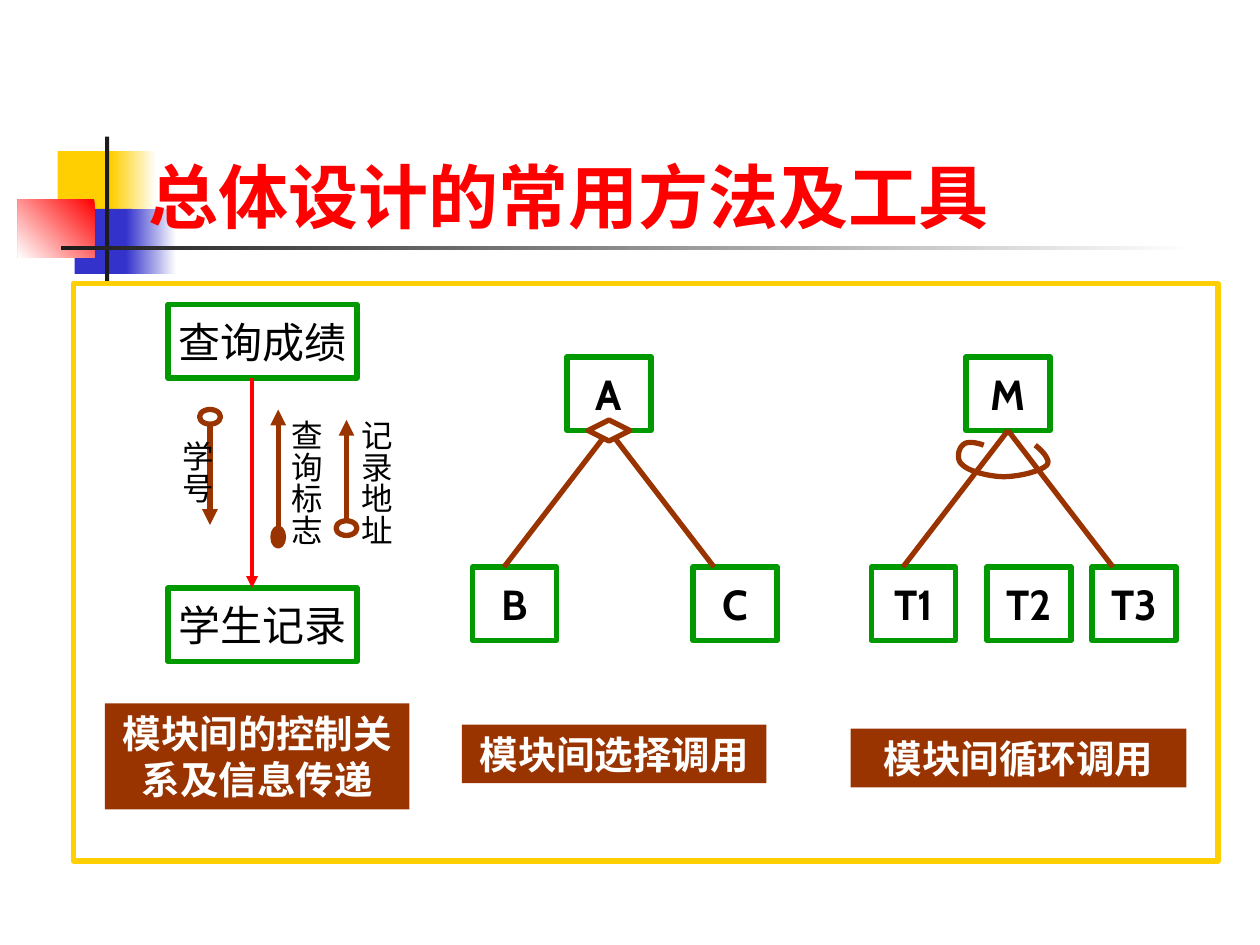
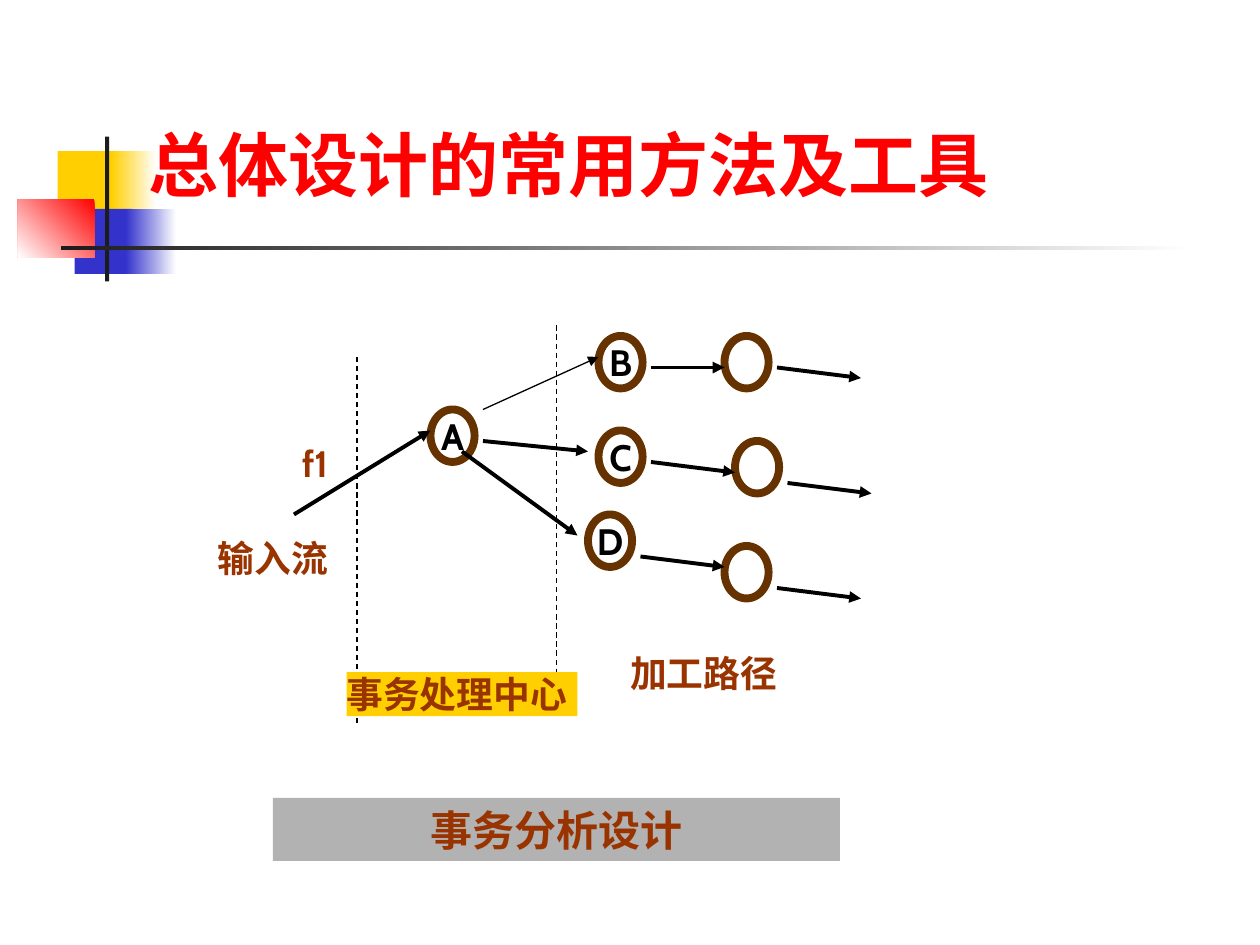
from dataclasses import dataclass
from typing import NamedTuple

from pptx import Presentation
from pptx.dml.color import RGBColor
from pptx.enum.dml import MSO_LINE
from pptx.enum.shapes import MSO_CONNECTOR, MSO_SHAPE
from pptx.enum.text import MSO_ANCHOR, PP_ALIGN
from pptx.oxml.ns import qn
from pptx.oxml.xmlchemy import OxmlElement
from pptx.util import Pt

RECT = MSO_SHAPE.RECTANGLE
OVAL = MSO_SHAPE.OVAL
GEM = MSO_SHAPE.DIAMOND
LINE = MSO_CONNECTOR.STRAIGHT
DASH = MSO_LINE.DASH
LEFT, MID = PP_ALIGN.LEFT, PP_ALIGN.CENTER
TOP, CORE = MSO_ANCHOR.TOP, MSO_ANCHOR.MIDDLE
PX = 7620


@dataclass(frozen=True)
class Theme:
    red: str = "FF0000"
    gold: str = "FFCF01"
    blue: str = "3333CC"
    ink: str = "1C1C1C"
    black: str = "000000"
    white: str = "FFFFFF"
    green: str = "009900"
    rust: str = "993300"
    brown: str = "663300"
    gray: str = "B2B2B2"
    head: str = "Times New Roman"
    body: str = "Cabin"
    title: int = 40
    large: int = 24
    note: int = 22
    mark: int = 21
    small: int = 18
    thin: float = 0.75
    firm: float = 2.25
    thick: float = 3
    ring: float = 4.5


T = Theme()


class Box(NamedTuple):
    x: int
    y: int
    w: int
    h: int


class Type(NamedTuple):
    size: int
    color: str
    bold: bool = True
    align: PP_ALIGN = MID
    font: str = T.body


class Pen(NamedTuple):
    color: str
    width: float
    arrow: bool = False
    dash: bool = False


class Wire(NamedTuple):
    x1: int
    y1: int
    x2: int
    y2: int


class Block(NamedTuple):
    box: Box
    fill: str
    fade: int | None = None


class Label(NamedTuple):
    text: str
    box: Box
    type: Type
    fill: str | None = None
    pad: bool = False


class Flow(NamedTuple):
    text: str
    spot: Box
    wire: Wire
    name: Box
    fill: str | None = None


class Node(NamedTuple):
    text: str
    x: int
    y: int


TITLE = Type(T.title, T.red, True, LEFT, T.head)
PLAIN = Type(T.large, T.black, False)
BOLD = Type(T.large, T.black)
NOTE = Type(T.note, T.white)
SIDE = Type(T.small, T.black, False, LEFT)
RING = Type(T.mark, T.black)
MARK = Type(T.mark, T.rust)
LEAD = MARK._replace(align=LEFT)
GREEN = Pen(T.green, T.thick)
RUST = Pen(T.rust, T.thick)
ARROW = Pen(T.black, T.firm, True)

DECOR = [
    Block(Box(55, 144, 58, 62), T.gold),
    Block(Box(106, 144, 43, 62), T.gold, 0),
    Block(Box(71, 199, 55, 62), T.blue),
    Block(Box(120, 199, 48, 62), T.blue, 0),
    Block(Box(17, 190, 73, 55), T.red, 225),
    Block(Box(100, 130, 4, 138), T.ink),
    Block(Box(58, 234, 1080, 4), T.ink, 0),
]

FLOWS = [
    Flow("学号", Box(190, 390, 20, 14), Wire(200, 404, 200, 500), Box(170, 420, 36, 100)),
    Flow("查询标志", Box(260, 503, 10, 17), Wire(265, 503, 265, 390),
         Box(274, 400, 36, 140), T.rust),
    Flow("记录地址", Box(320, 496, 20, 14), Wire(330, 496, 330, 400), Box(340, 400, 36, 140)),
]
NODES = [
    Node("A", 540, 340), Node("B", 450, 540), Node("C", 660, 540),
    Node("M", 920, 340), Node("T1", 830, 540), Node("T2", 940, 540), Node("T3", 1040, 540),
]
NOTES = [
    Label("模块间的控制关系及信息传递", Box(100, 670, 290, 101), NOTE, T.rust, True),
    Label("模块间选择调用", Box(440, 690, 290, 56), NOTE, T.rust, True),
    Label("模块间循环调用", Box(810, 694, 320, 56), NOTE, T.rust, True),
]
LOOP = [
    (937, 424), (929, 421), (920, 420), (917, 424), (913, 427), (910, 438), (917, 443),
    (923, 449), (943, 454), (956, 454), (970, 454), (991, 449), (997, 443),
    (1002, 438), (990, 427), (986, 424),
]

RINGS = [
    Node("A", 410, 390), Node("B", 570, 320), Node("C", 570, 410), Node("D", 560, 490),
    Node("", 690, 320), Node("", 700, 420), Node("", 690, 520),
]
PATHS = [
    Wire(280, 490, 410, 410), Wire(460, 420, 560, 430), Wire(440, 430, 550, 510),
    Wire(620, 350, 690, 350), Wire(620, 440, 700, 450), Wire(610, 530, 690, 540),
    Wire(740, 350, 820, 360), Wire(750, 460, 830, 470), Wire(740, 560, 820, 570),
]
BOUNDS = [Wire(340, 340, 340, 690), Wire(530, 310, 530, 670)]
LABELS = [
    Label("加工路径", Box(600, 620, 160, 42), LEAD),
    Label("输入流", Box(200, 510, 120, 42), MARK),
    Label("f1", Box(270, 420, 60, 42), MARK),
    Label("事务处理中心", Box(330, 640, 220, 42), LEAD, T.gold),
    Label("事务分析设计", Box(260, 760, 540, 60), Type(T.large, T.rust), T.gray, True),
]


def emu(box: Box) -> list[int]:
    return [side * PX for side in box]


def rgb(color: str) -> RGBColor:
    return RGBColor.from_string(color)


def stroke(shape, pen: Pen) -> None:
    shape.line.color.rgb = rgb(pen.color)
    shape.line.width = Pt(pen.width)
    if pen.dash:
        shape.line.dash_style = DASH
    if pen.arrow:
        tip = OxmlElement("a:tailEnd")
        tip.set("type", "triangle")
        shape.element.spPr.find(qn("a:ln")).append(tip)


def draw(slide, kind, box: Box, fill: str | None = None, pen: Pen | None = None):
    shape = slide.shapes.add_shape(kind, *emu(box))
    shape.shadow.inherit = False
    if fill:
        shape.fill.solid()
        shape.fill.fore_color.rgb = rgb(fill)
    else:
        shape.fill.background()
    if pen:
        stroke(shape, pen)
    else:
        shape.line.fill.background()
    return shape


def write(shape, text: str, style: Type, anchor=TOP, wrap: bool = True,
          pad: bool = True) -> None:
    frame = shape.text_frame
    frame.text = text
    frame.word_wrap = wrap
    frame.vertical_anchor = anchor
    frame.margin_left = frame.margin_right = 12 * PX if pad else 0
    frame.margin_top = frame.margin_bottom = 6 * PX if pad else 0
    line = frame.paragraphs[0]
    line.alignment = style.align
    for run in line.runs:
        run.font.name = style.font
        run.font.size = Pt(style.size)
        run.font.bold = style.bold
        run.font.color.rgb = rgb(style.color)


def link(slide, wire: Wire, pen: Pen) -> None:
    line = slide.shapes.add_connector(LINE, *[end * PX for end in wire])
    stroke(line, pen)
    line.element.spPr.append(OxmlElement("a:effectLst"))


def put(slide, label: Label) -> None:
    if label.fill:
        shape = draw(slide, RECT, label.box, label.fill)
    else:
        shape = slide.shapes.add_textbox(*emu(label.box))
    write(shape, label.text, label.type, pad=label.pad)


def node(slide, kind, item: Node, w: int, h: int, pen: Pen, style: Type) -> None:
    shape = draw(slide, kind, Box(item.x, item.y, w, h), pen=pen)
    if item.text:
        write(shape, item.text, style, CORE, False)


def curve(slide, dots: list[tuple[int, int]], pen: Pen, steps: int = 10) -> None:
    spots = []
    for i in range(0, len(dots) - 1, 3):
        for k in range(1, steps + 1):
            t = k / steps
            parts = ((1 - t) ** 3, 3 * t * (1 - t) ** 2, 3 * t * t * (1 - t), t ** 3)
            spots.append(tuple(
                PX * sum(p * dot[axis] for p, dot in zip(parts, dots[i:i + 4]))
                for axis in (0, 1)))
    x, y = dots[0]
    form = slide.shapes.build_freeform(x * PX, y * PX)
    form.add_line_segments(spots, close=False)
    shape = form.convert_to_shape()
    shape.shadow.inherit = False
    shape.fill.background()
    stroke(shape, pen)


def start(deck, top: int):
    slide = deck.slides.add_slide(deck.slide_layouts[6])
    for block in DECOR:
        shape = draw(slide, RECT, block.box, block.fill)
        if block.fade is not None:
            shape.fill.gradient()
            shape.fill.gradient_angle = block.fade
            for stop, color, place in zip(shape.fill.gradient_stops,
                                          (block.fill, T.white), (0, 1)):
                stop.color.rgb = rgb(color)
                stop.position = place
    put(slide, Label("总体设计的常用方法及工具", Box(130, top, 1020, 92), TITLE, pad=True))
    return slide


def calls(deck) -> None:
    slide = start(deck, 140)
    for text, y in (("查询成绩", 290), ("学生记录", 560)):
        node(slide, RECT, Node(text, 160, y), 180, 70, GREEN, PLAIN)
    link(slide, Wire(240, 360, 240, 560), Pen(T.red, T.firm, True))
    for flow in FLOWS:
        link(slide, flow.wire, RUST._replace(arrow=True))
        draw(slide, OVAL, flow.spot, flow.fill, RUST)
        shape = slide.shapes.add_textbox(*emu(flow.name))
        write(shape, flow.text, SIDE, pad=False)
        shape.element.txBody.bodyPr.set("vert", "eaVert")
    for item in NODES:
        node(slide, RECT, item, 80, 70, GREEN, BOLD)
    for x in (580, 960):
        for side in (-100, 100):
            link(slide, Wire(x, 410, x + side, 540), RUST)
    draw(slide, GEM, Box(560, 400, 40, 20), T.white, RUST)
    draw(slide, RECT, Box(70, 270, 1090, 550), pen=Pen(T.gold, T.thick))
    for label in NOTES:
        put(slide, label)
    curve(slide, LOOP, RUST)


def routes(deck) -> None:
    slide = start(deck, 110)
    for item in RINGS:
        node(slide, OVAL, item, 42, 50, Pen(T.brown, T.ring), RING)
    for wire in PATHS:
        link(slide, wire, ARROW)
    link(slide, Wire(460, 390, 570, 340), ARROW._replace(width=T.thin))
    for wire in BOUNDS:
        link(slide, wire, Pen(T.black, T.thin, dash=True))
    for label in LABELS:
        put(slide, label)


def main() -> None:
    deck = Presentation()
    deck.slide_width, deck.slide_height = 1200 * PX, 900 * PX
    calls(deck)
    routes(deck)
    deck.save("out.pptx")


if __name__ == "__main__":
    main()
